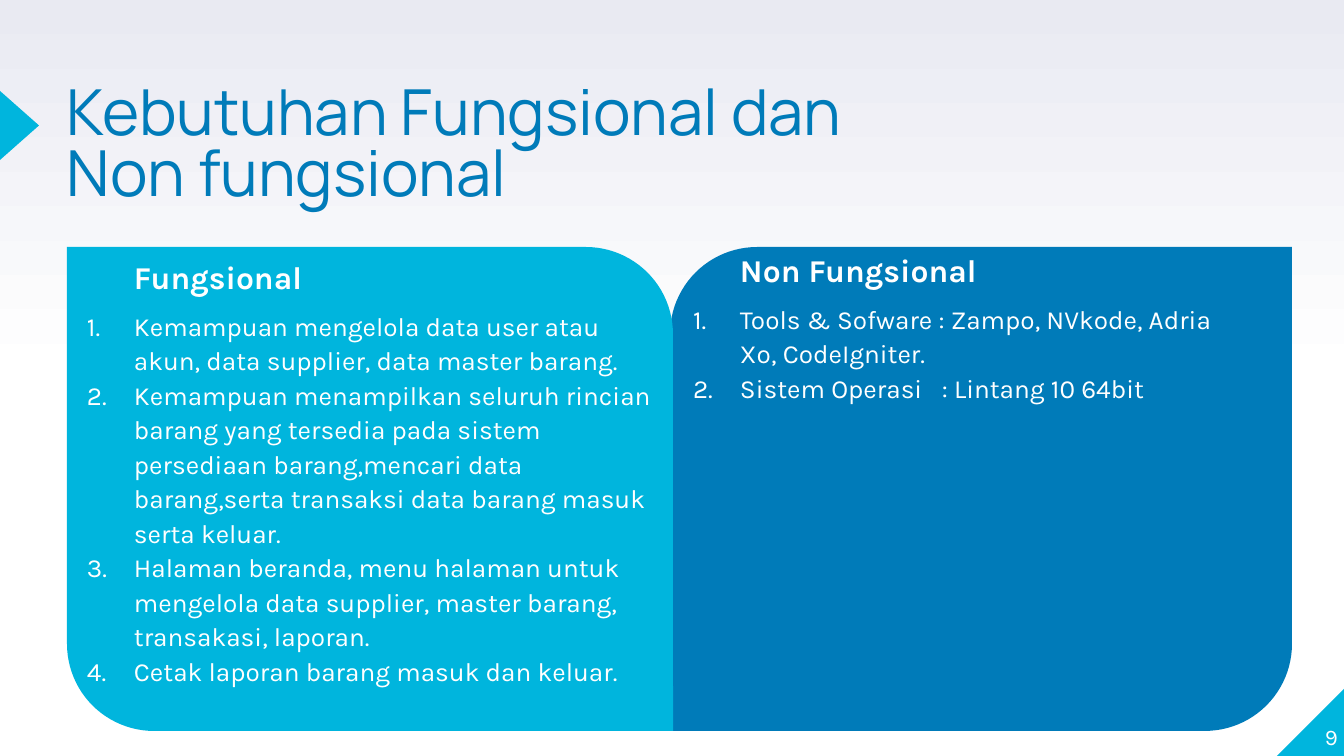
"""Build the slide on functional and non-functional requirements."""
from lxml.etree import SubElement
from pptx import Presentation
from pptx.dml.color import RGBColor as RGB
from pptx.enum.shapes import MSO_SHAPE as SHAPE
from pptx.enum.text import MSO_ANCHOR as ANCHOR, PP_ALIGN as ALIGN
from pptx.oxml.ns import qn
from pptx.util import Pt

THEME = {
    "cyan": "00B5DD", "blue": "007BB9", "white": "FFFFFF", "haze": "E9EAF2",
    "title": {"name": "Manrope", "size": Pt(34), "bold": False},
    "head": {"name": "Karla", "size": Pt(17), "bold": True},
    "body": {"name": "Karla", "size": Pt(14), "bold": False},
    "number": {"name": "Karla", "size": Pt(12), "bold": False},
}
PX = 914400 / 134.4
INDENT, HANG = round(67 * PX), round(-47 * PX)


def add_box(box, color=None, kind=None, adjust=(), rotation=0):
    left, top, width, height = (round(v * PX) for v in box)
    if kind is None:
        sp = slide.shapes.add_textbox(left, top, width, height)
        tf = sp.text_frame
        for side in ("left", "top", "right", "bottom"):
            setattr(tf, f"margin_{side}", 0)
        tf.word_wrap = True
        return tf
    sp = slide.shapes.add_shape(kind, left, top, width, height)
    sp.shadow.inherit = False
    sp.fill.solid()
    sp.fill.fore_color.rgb = RGB.from_string(THEME[color])
    sp.line.fill.background()
    sp.rotation = rotation
    for i, value in enumerate(adjust):
        sp.adjustments[i] = value


def write(p, text, style, color, **layout):
    for name, value in layout.items():
        setattr(p, name, value)
    r = p.add_run()
    r.text = text
    for name, value in THEME[style].items():
        setattr(r.font, name, value)
    r.font.color.rgb = RGB.from_string(THEME[color])


prs = Presentation()
prs.slide_width, prs.slide_height = round(1344 * PX), round(756 * PX)
slide = prs.slides.add_slide(prs.slide_layouts[6])

fill = slide.background.fill
fill.gradient()
fill.gradient_angle = 90
for stop, color, position in zip(fill.gradient_stops, ("white", "haze"), (0.5, 1)):
    stop.color.rgb = RGB.from_string(THEME[color])
    stop.position = position

add_box((1277, 687, 69, 69), "cyan", SHAPE.RIGHT_TRIANGLE, rotation=270)
add_box((-15, 106, 69, 39), "cyan", SHAPE.ISOSCELES_TRIANGLE, rotation=90)
add_box((670, 247, 622, 484), "blue", SHAPE.ROUND_2_DIAG_RECTANGLE, (0.18, 0))
add_box((67, 247, 606, 484), "cyan", SHAPE.ROUND_2_DIAG_RECTANGLE, (0, 0.18))

tf = add_box((67, 87, 829, 159))
write(tf.paragraphs[0], "Kebutuhan Fungsional dan Non fungsional", "title", "blue",
      line_spacing=0.8)

columns = [
    ((67, 254, 598, 434), "Fungsional", [
        "Kemampuan mengelola data user atau akun, data supplier, data master barang.",
        "Kemampuan menampilkan seluruh rincian barang yang tersedia pada sistem "
        "persediaan barang,mencari data barang,serta transaksi data barang masuk "
        "serta keluar.",
        "Halaman beranda, menu halaman untuk mengelola data supplier, master barang, "
        "transakasi, laporan.",
        "Cetak laporan barang masuk dan keluar.",
    ]),
    ((673, 247, 564, 457), "Non Fungsional", [
        "Tools & Sofware : Zampo, NVkode, Adria Xo, CodeIgniter.",
        "Sistem Operasi\t: Lintang 10 64bit",
    ]),
]
for box, heading, items in columns:
    tf = add_box(box)
    p = tf.paragraphs[0]
    write(p, heading, "head", "white", line_spacing=1.1, space_before=Pt(6))
    p._p.get_or_add_pPr().set("indent", str(INDENT))
    for i, item in enumerate(items):
        p = tf.add_paragraph()
        write(p, item, "body", "white", line_spacing=1.1,
              space_before=Pt(0 if i else 6))
        pPr = p._p.get_or_add_pPr()
        pPr.set("marL", str(INDENT))
        pPr.set("indent", str(HANG))
        bullet_color = SubElement(pPr, qn("a:buClr"))
        SubElement(bullet_color, qn("a:srgbClr"), val=THEME["white"])
        SubElement(pPr, qn("a:buFont"), typeface=THEME["body"]["name"])
        SubElement(pPr, qn("a:buAutoNum"), type="arabicPeriod")

tf = add_box((1271, 681, 67, 69))
tf.vertical_anchor = ANCHOR.BOTTOM
write(tf.paragraphs[0], "9", "number", "white", alignment=ALIGN.RIGHT)

prs.save("out.pptx")
